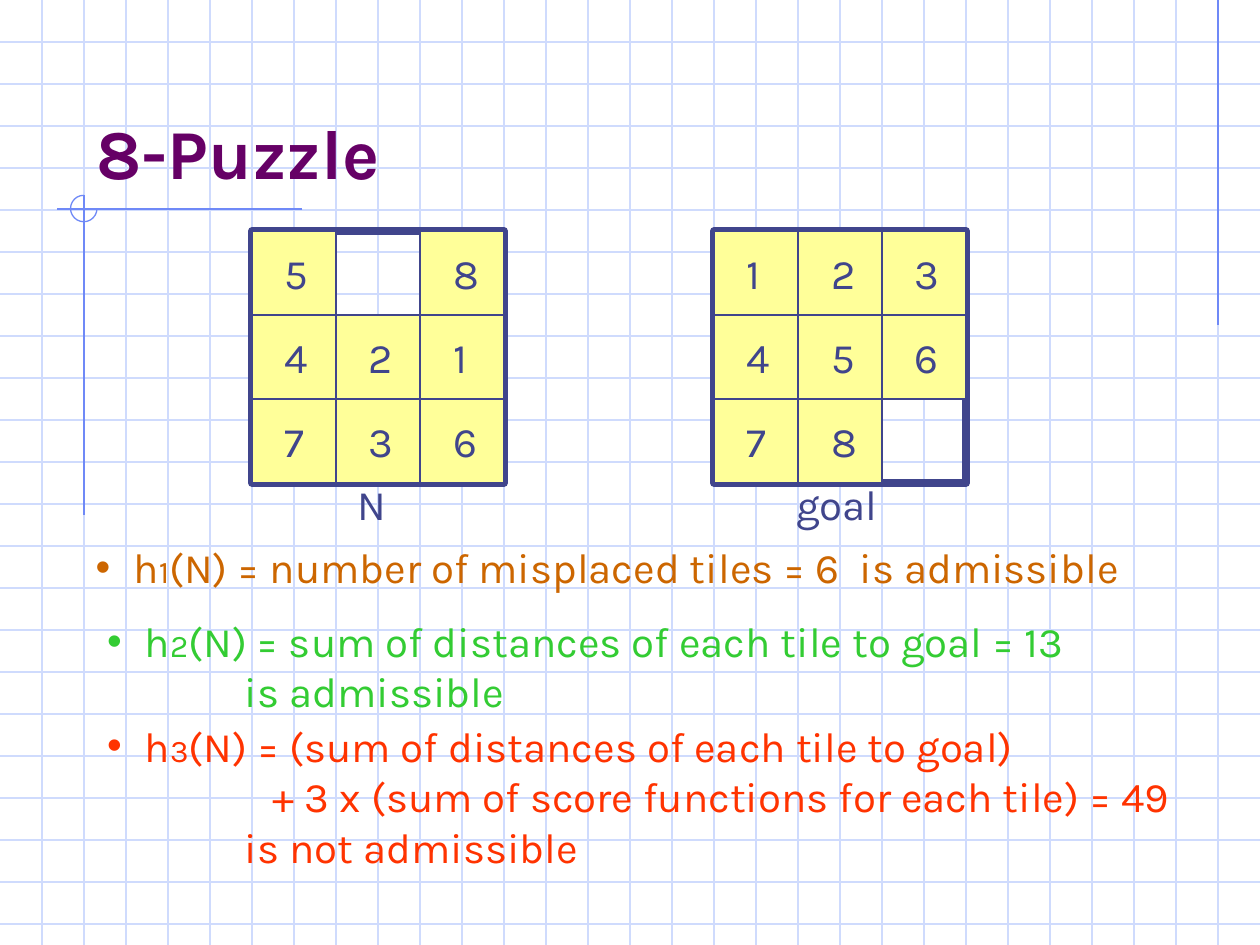
from dataclasses import dataclass

from lxml import etree
from pptx import Presentation
from pptx import util as u
from pptx.dml.color import RGBColor
from pptx.enum import shapes, text
from pptx.oxml.ns import qn


@dataclass(frozen=True)
class Theme:
    font: str = "Karla"
    ink: str = "40458C"
    title: str = "660066"
    tile: str = "FFFF99"
    grid: str = "CFDBFD"
    accent: str = "6F89F7"
    title_size: int = 40
    body_size: int = 24
    index_size: int = 18
    thin: float = 0.75
    thick: float = 4.5


@dataclass(frozen=True)
class Box:
    """Place and size, in grid squares."""
    left: float
    top: float
    width: float
    height: float


@dataclass(frozen=True)
class Board:
    left: float
    rows: tuple[str, ...]
    caption: str
    caption_box: Box


@dataclass(frozen=True)
class Heuristic:
    box: Box
    index: str
    formula: str
    color: str
    continuation: tuple[tuple[float, str], ...] = ()


THEME = Theme()
SQUARES_PER_INCH = 3
COLUMNS, ROWS = 30, 22.5
BOARD_TOP, TILE = 5.5, 2
HANG = 0.9

BOARDS = (
    Board(6, ("5 8", "421", "736"), "N", Box(8.22, 11.25, 1.35, 1.5)),
    Board(17, ("123", "456", "78 "), "goal", Box(18.66, 11.25, 2.64, 1.5)),
)
HEURISTICS = (
    Heuristic(Box(1.98, 12.75, 25.11, 1.5), "1",
              "(N) = number of misplaced tiles = 6  is admissible", "CC6600"),
    Heuristic(Box(2.25, 14.5, 24.24, 2.7), "2",
              "(N) = sum of distances of each tile to goal = 13", "33CC33",
              ((3.28, "is admissible"),)),
    Heuristic(Box(2.25, 17, 26.76, 3.9), "3",
              "(N) = (sum of distances of each tile to goal)", "FF3300",
              ((3.95, "+ 3 x (sum of score functions for each tile) = 49"),
               (3.28, "is not admissible"))),
)


def squares(count: float) -> u.Length:
    return u.Inches(count / SQUARES_PER_INCH)


def corners(box: Box) -> tuple[u.Length, ...]:
    return tuple(squares(n) for n in (box.left, box.top, box.width, box.height))


def place(holder, box: Box) -> None:
    holder.left, holder.top, holder.width, holder.height = corners(box)


def add_run(paragraph, words: str, color: str, size: int, bold: bool = False) -> None:
    run = paragraph.add_run()
    run.text = words
    run.font.name = THEME.font
    run.font.size = u.Pt(size)
    run.font.bold = bold
    run.font.color.rgb = RGBColor.from_string(color)


def add_line(parent, x1: float, y1: float, x2: float, y2: float, color: str) -> None:
    line = parent.add_connector(shapes.MSO_CONNECTOR.STRAIGHT,
                                *(squares(n) for n in (x1, y1, x2, y2)))
    line.line.color.rgb = RGBColor.from_string(color)
    line.line.width = u.Pt(THEME.thin)
    etree.SubElement(line._element.spPr, qn("a:effectLst"))


def add_outline(parent, preset, box: Box, color: str, width: float, fill: str = ""):
    shape = parent.add_shape(preset, *corners(box))
    shape.shadow.inherit = False
    shape.line.color.rgb = RGBColor.from_string(color)
    shape.line.width = u.Pt(width)
    if fill:
        shape.fill.solid()
        shape.fill.fore_color.rgb = RGBColor.from_string(fill)
    else:
        shape.fill.background()
    return shape


def add_label(parent, words: str, box: Box) -> None:
    label = parent.add_textbox(*corners(box))
    label.text_frame.word_wrap = False
    add_run(label.text_frame.paragraphs[0], words, THEME.ink, THEME.body_size)


def add_backdrop(slide) -> None:
    """Draw the squared paper and its accent lines behind everything else."""
    group = slide.shapes.add_group_shape()
    paper = group.shapes
    for row in range(1, int(ROWS) + 1):
        add_line(paper, 0, row, COLUMNS, row, THEME.grid)
    for column in range(1, COLUMNS):
        add_line(paper, column, 0, column, ROWS, THEME.grid)
    for ends in ((29, 0, 29, 7.75), (7.2, 4.98, 1.35, 4.98), (2, 4.65, 2, 12.27)):
        add_line(paper, *ends, THEME.accent)
    arc = add_outline(paper, shapes.MSO_SHAPE.ARC, Box(1.68, 4.65, 0.63, 0.63),
                      THEME.accent, THEME.thin)
    arc.adjustments[0], arc.adjustments[1] = 0, 162  # 0 to 270 degrees
    slide.shapes._spTree.insert(2, group._element)


def add_board(slide, board: Board) -> None:
    group = slide.shapes.add_group_shape().shapes
    side = TILE * len(board.rows)
    rectangle = shapes.MSO_SHAPE.RECTANGLE
    add_outline(group, rectangle, Box(board.left, BOARD_TOP, side, side),
                THEME.ink, THEME.thick)
    for row, digits in enumerate(board.rows):
        for column, digit in enumerate(digits):
            if digit == " ":
                continue
            x, y = board.left + TILE * column, BOARD_TOP + TILE * row
            add_outline(group, rectangle, Box(x, y, TILE, TILE),
                        THEME.ink, THEME.thin, THEME.tile)
            add_label(group, digit, Box(x + 0.49, y + 0.25, 1.17, 1.5))
    add_label(slide.shapes, board.caption, board.caption_box)


def set_list_style(paragraph, margin: float, bullet_color: str = "") -> None:
    """Indent a paragraph and give it a coloured bullet, or none."""
    properties = paragraph._p.get_or_add_pPr()
    properties.set("marL", str(squares(margin)))
    properties.set("indent", str(-squares(margin) if bullet_color else 0))
    if bullet_color:
        color = etree.SubElement(properties, qn("a:buClr"))
        etree.SubElement(color, qn("a:srgbClr"), val=bullet_color)
        etree.SubElement(properties, qn("a:buChar"), char="•")
    else:
        etree.SubElement(properties, qn("a:buNone"))
    paragraph.space_before = u.Pt(0)


def fill_heuristic(holder, heuristic: Heuristic) -> None:
    place(holder, heuristic.box)
    frame = holder.text_frame
    frame.word_wrap = True
    frame.auto_size = text.MSO_AUTO_SIZE.NONE
    frame.vertical_anchor = text.MSO_ANCHOR.TOP
    formula = frame.paragraphs[0]
    set_list_style(formula, HANG, heuristic.color)
    add_run(formula, "h", heuristic.color, THEME.body_size)
    add_run(formula, heuristic.index, heuristic.color, THEME.index_size)
    add_run(formula, heuristic.formula, heuristic.color, THEME.body_size)
    for margin, words in heuristic.continuation:
        paragraph = frame.add_paragraph()
        set_list_style(paragraph, margin)
        add_run(paragraph, words, heuristic.color, THEME.body_size)


def fill_title(holder, words: str) -> None:
    place(holder, Box(2, 1, 25.5, 3.75))
    holder.text_frame.auto_size = text.MSO_AUTO_SIZE.NONE
    holder.text_frame.vertical_anchor = text.MSO_ANCHOR.BOTTOM
    heading = holder.text_frame.paragraphs[0]
    heading.alignment = text.PP_ALIGN.LEFT
    add_run(heading, words, THEME.title, THEME.title_size, bold=True)


def main() -> None:
    deck = Presentation()
    deck.slide_width, deck.slide_height = squares(COLUMNS), squares(ROWS)
    comparison = deck.slide_layouts[4]
    slide = deck.slides.add_slide(comparison)
    title, *bodies = slide.placeholders
    fill_title(title, "8-Puzzle")
    for holder, heuristic in zip(bodies, HEURISTICS):
        fill_heuristic(holder, heuristic)
    for spare in bodies[len(HEURISTICS):]:
        spare._element.getparent().remove(spare._element)
    add_backdrop(slide)
    for board in BOARDS:
        add_board(slide, board)
    deck.save("out.pptx")


if __name__ == "__main__":
    main()
